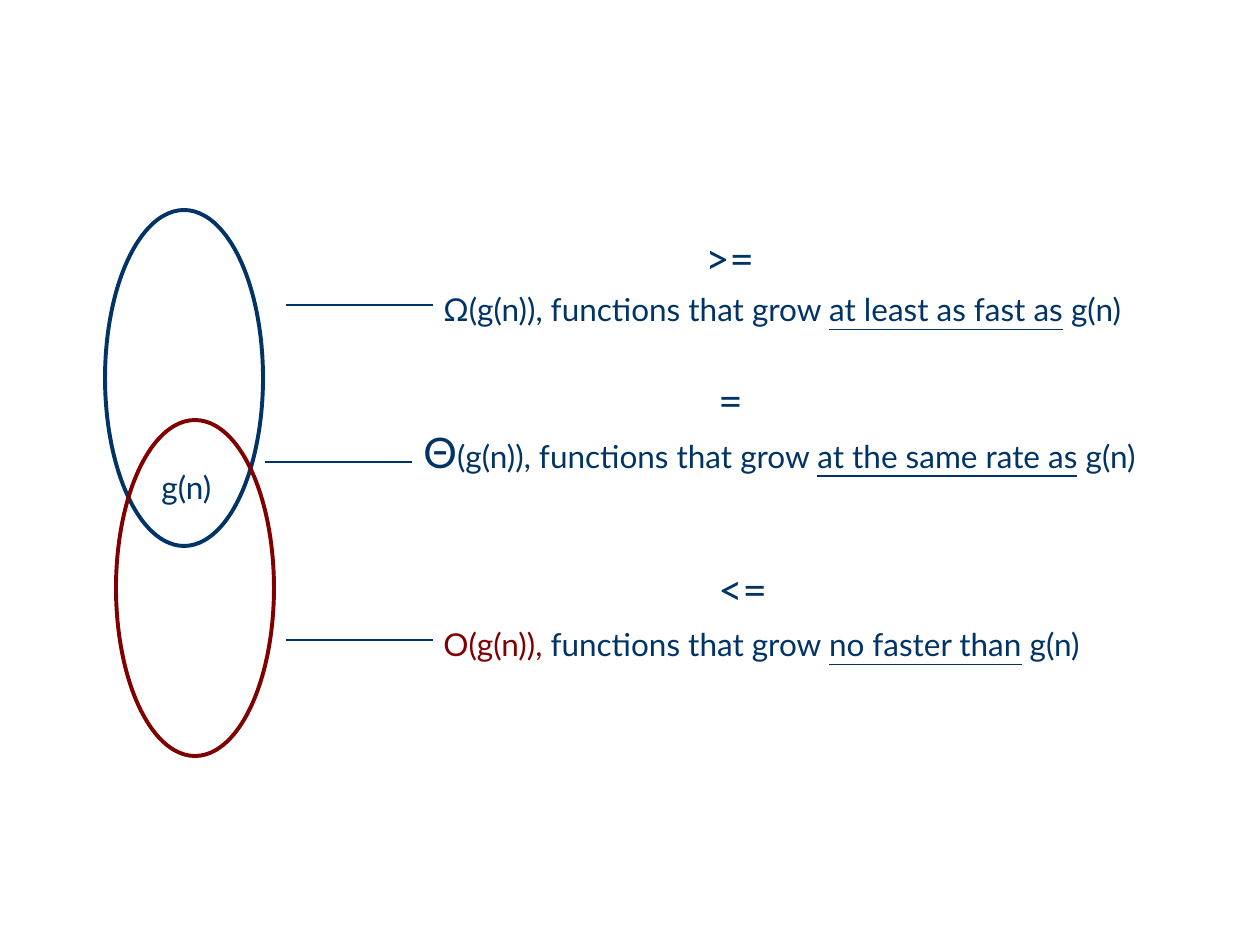
import pptx
import pptx.dml.color
import pptx.enum.shapes
import pptx.enum.text
import pptx.oxml.ns
import pptx.util
import lxml.etree

NAVY = pptx.dml.color.RGBColor(0x00, 0x33, 0x66)
MAROON = pptx.dml.color.RGBColor(0x80, 0x00, 0x00)
PIXEL = 914400 // 126
FONT = "Lato"

deck = pptx.Presentation()
deck.slide_width = 1260 * PIXEL
deck.slide_height = 945 * PIXEL
slide = deck.slides.add_slide(deck.slide_layouts[6])


def add_label(left, top, width, height, runs, size):
    """Add one line of text from (text, colour, underlined, size) runs."""
    box = slide.shapes.add_textbox(left * PIXEL, top * PIXEL, width * PIXEL, height * PIXEL)
    frame = box.text_frame
    frame.word_wrap = False
    frame.auto_size = pptx.enum.text.MSO_AUTO_SIZE.SHAPE_TO_FIT_TEXT
    paragraph = frame.paragraphs[0]
    paragraph.font.name = FONT
    paragraph.font.size = pptx.util.Pt(size)
    paragraph.font.color.rgb = NAVY
    for text, colour, underlined, run_size in runs:
        run = paragraph.add_run()
        run.text = text
        if colour != NAVY:
            run.font.color.rgb = colour
        if underlined:
            run.font.underline = True
        if run_size != size:
            run.font.size = pptx.util.Pt(run_size)


def add_leader(left, y):
    """Add a thin horizontal line that leads to a description."""
    leader = slide.shapes.add_connector(
        pptx.enum.shapes.MSO_CONNECTOR.STRAIGHT,
        left * PIXEL, y * PIXEL, (left + 147) * PIXEL, y * PIXEL)
    leader.line.color.rgb = NAVY
    leader.line.width = pptx.util.Pt(0.75)
    lxml.etree.SubElement(leader.element.spPr, pptx.oxml.ns.qn("a:effectLst"))


# Overlapping sets of functions
for left, top, colour in [(105, 210, NAVY), (116, 420, MAROON)]:
    growth_set = slide.shapes.add_shape(
        pptx.enum.shapes.MSO_SHAPE.OVAL,
        left * PIXEL, top * PIXEL, 158 * PIXEL, 336 * PIXEL)
    growth_set.shadow.inherit = False
    growth_set.fill.background()
    growth_set.line.color.rgb = colour
    growth_set.line.width = pptx.util.Pt(2.25)

# Descriptions: box, leader start, and the runs before the shared ending
descriptions = [
    ((431, 284, 755, 50), (286, 305),
     [("Ω(g(n)),", NAVY, False, 18)], "at least as fast as"),
    ((411, 420, 789, 63), (265, 462),
     [("Θ", NAVY, False, 24), ("(g(n)),", NAVY, False, 18)], "at the same rate as"),
    ((431, 619, 704, 50), (286, 640),
     [("O(g(n)),", MAROON, False, 18)], "no faster than"),
]
for box, leader, symbol, growth in descriptions:
    sentence = symbol + [
        (" functions that grow ", NAVY, False, 18),
        (growth, NAVY, True, 18),
        (" g(n) ", NAVY, False, 18),
    ]
    add_label(*box, sentence, 18)
    add_leader(*leader)

# Shared function and the comparison signs
for text, box, size in [
    ("g(n)", (149, 462, 84, 50), 18),
    (">=", (693, 226, 87, 63), 24),
    ("<=", (706, 557, 87, 63), 24),
    ("=", (706, 368, 55, 63), 24),
]:
    add_label(*box, [(text, NAVY, False, size)], size)

deck.save("out.pptx")
